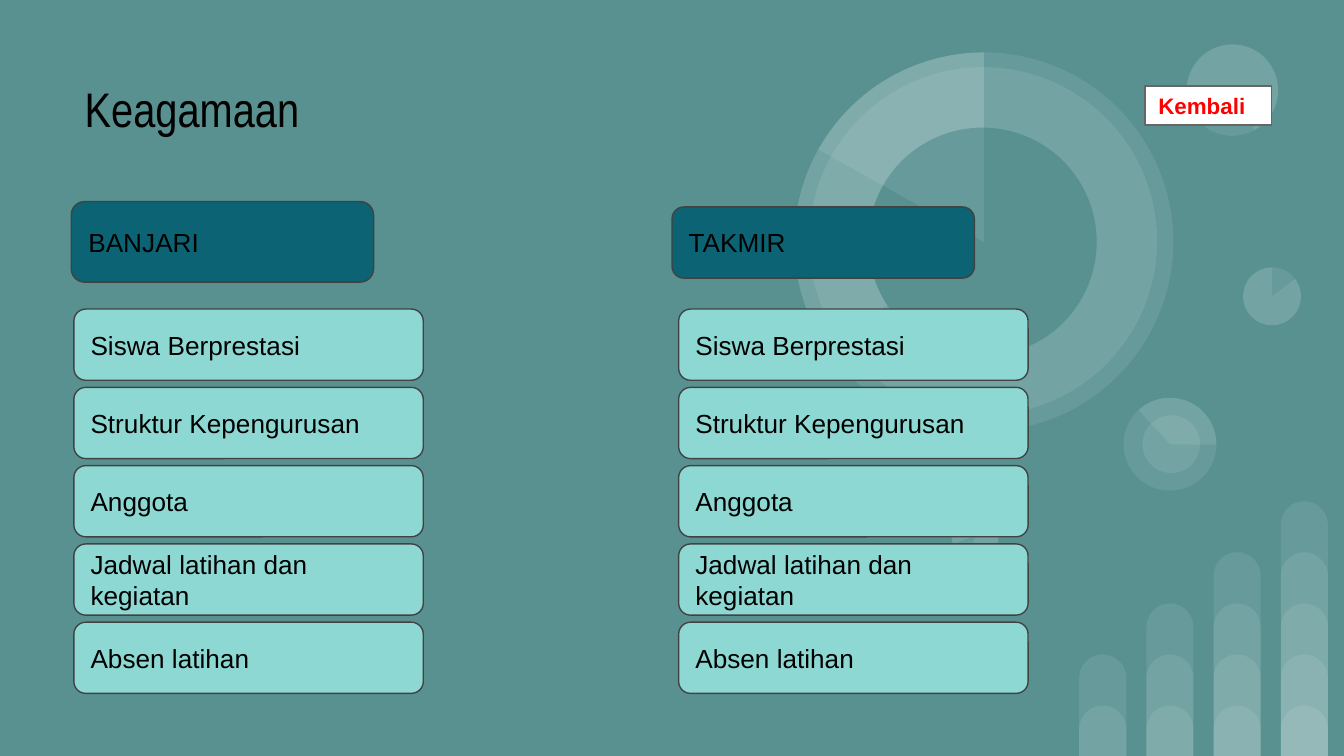
"""Build the Keagamaan menu slide with two columns of buttons."""
from typing import NamedTuple

from lxml.etree import SubElement
from pptx import Presentation
from pptx.dml.color import RGBColor
from pptx.enum.shapes import MSO_SHAPE
from pptx.enum.text import MSO_ANCHOR, MSO_AUTO_SIZE, PP_ALIGN
from pptx.oxml.ns import qn
from pptx.util import Inches, Pt

COLORS = {
    "background": "599191",
    "white": "FFFFFF",
    "header": "0B6374",
    "button": "8DD8D3",
    "outline": "424242",
    "link_outline": "666666",
    "black": "000000",
    "red": "FF0000",
}
WIDTH = 10
HEIGHT = WIDTH * 9 / 16
FIRST_TOP, LAST_TOP = 2.3, 4.63
ROUNDED = MSO_SHAPE.ROUNDED_RECTANGLE
BUTTONS = [
    "Siswa Berprestasi",
    "Struktur Kepengurusan",
    "Anggota",
    "Jadwal latihan dan kegiatan",
    "Absen latihan",
]
PITCH = (LAST_TOP - FIRST_TOP) / (len(BUTTONS) - 1)


class Box(NamedTuple):
    left: float
    top: float
    width: float
    height: float


class Disc(NamedTuple):
    box: Box
    rotation: float = 0
    angles: tuple = ()
    color: str = "white"
    alpha: int | None = 9


class Column(NamedTuple):
    title: str
    header: Box
    left: float


DOT = Box(9.25, 1.99, 0.43, 0.43)
SMALL = Box(7.08, 3.81, 0.35, 0.35)
RING = Box(8.36, 2.96, 0.69, 0.69)
CORNER = Box(8.83, 0.33, 0.68, 0.68)
DIAL = Box(5.91, 0.39, 2.82, 2.82)
DISCS = [
    Disc(DOT),
    Disc(SMALL, 196.2),
    Disc(RING, 90),
    Disc(RING, 90, (82.45, 162.46)),
    Disc(Box(8.5, 3.09, 0.43, 0.43), 90),
    Disc(DOT, 0, (193.77, 162)),
    Disc(CORNER, 215.9),
    Disc(CORNER, 215.9, (193.77, 123.14)),
    Disc(DIAL),
    Disc(Box(6.02, 0.5, 2.59, 2.59), 34.1),
    Disc(DIAL, 0, (88.01, 162)),
    Disc(Box(6.46, 0.95, 1.7, 1.7), 34.1, (), "background", None),
    Disc(DIAL, 0, (125.54, 162)),
    Disc(SMALL, 196.2, (193.77, 162)),
]
COLUMNS = [
    Column("BANJARI", Box(0.53, 1.5, 2.25, 0.6), 0.55),
    Column("TAKMIR", Box(5, 1.54, 2.25, 0.53), 5.05),
]


def rgb(name: str) -> RGBColor:
    return RGBColor.from_string(COLORS[name])


def write(sp, text: str, size=14, font="Arial", color="black", bold=False,
          anchor=MSO_ANCHOR.MIDDLE) -> None:
    tf = sp.text_frame
    tf.word_wrap = True
    tf.vertical_anchor = anchor
    tf.margin_left = tf.margin_right = tf.margin_top = tf.margin_bottom = Inches(0.1)
    p = tf.paragraphs[0]
    p.alignment = PP_ALIGN.LEFT
    r = p.add_run()
    r.text = text
    r.font.size = Pt(size)
    r.font.name = font
    r.font.bold = bold
    r.font.color.rgb = rgb(color)


def add_shape(s, kind: MSO_SHAPE, box: Box, fill: str, line: str | None = None,
              alpha: int | None = None):
    sp = s.shapes.add_shape(kind, *map(Inches, box))
    sp.shadow.inherit = False
    sp.fill.solid()
    sp.fill.fore_color.rgb = rgb(fill)
    if line:
        sp.line.color.rgb = rgb(line)
        sp.line.width = Pt(0.75)
    else:
        sp.line.fill.background()
    if alpha is not None:
        clr = sp.fill._xPr.find(f".//{qn('a:srgbClr')}")
        SubElement(clr, qn("a:alpha"), val=str(alpha * 1000))
    return sp


def add_bars(s) -> None:
    for col in range(4):
        for level in range(col + 2):
            top = 5.25 - 0.38 * level
            box = Box(8.03 + 0.5 * col, top, 0.35, HEIGHT - top)
            sp = add_shape(s, MSO_SHAPE.ROUND_2_SAME_RECTANGLE, box, "white", alpha=9)
            sp.adjustments[0] = 0.5
            sp.adjustments[1] = 0


def add_disc(s, disc: Disc) -> None:
    kind = MSO_SHAPE.PIE if disc.angles else MSO_SHAPE.OVAL
    sp = add_shape(s, kind, disc.box, disc.color, alpha=disc.alpha)
    sp.rotation = disc.rotation
    for i, angle in enumerate(disc.angles):
        sp.adjustments[i] = angle


def add_column(s, column: Column) -> None:
    write(add_shape(s, ROUNDED, column.header, "header", "outline"), column.title)
    for i, label in enumerate(BUTTONS):
        box = Box(column.left, FIRST_TOP + PITCH * i, 2.6, 0.53)
        write(add_shape(s, ROUNDED, box, "button", "outline"), label)


def add_title(s, text: str) -> None:
    sp = s.shapes.title
    sp.left, sp.top, sp.width, sp.height = map(Inches, (0.53, 0.49, 2.74, 0.64))
    write(sp, text, size=26, font="Arial Narrow", anchor=MSO_ANCHOR.TOP)
    sp.text_frame.auto_size = MSO_AUTO_SIZE.SHAPE_TO_FIT_TEXT


def main() -> None:
    prs = Presentation()
    prs.slide_width, prs.slide_height = Inches(WIDTH), Inches(HEIGHT)
    s = prs.slides.add_slide(prs.slide_layouts[5])
    s.background.fill.solid()
    s.background.fill.fore_color.rgb = rgb("background")
    add_title(s, "Keagamaan")
    add_bars(s)
    for disc in DISCS:
        add_disc(s, disc)
    for column in COLUMNS:
        add_column(s, column)
    link = add_shape(s, MSO_SHAPE.RECTANGLE, Box(8.52, 0.64, 0.94, 0.29),
                     "white", "link_outline")
    write(link, "Kembali", size=12, color="red", bold=True)
    prs.save("out.pptx")


if __name__ == "__main__":
    main()
